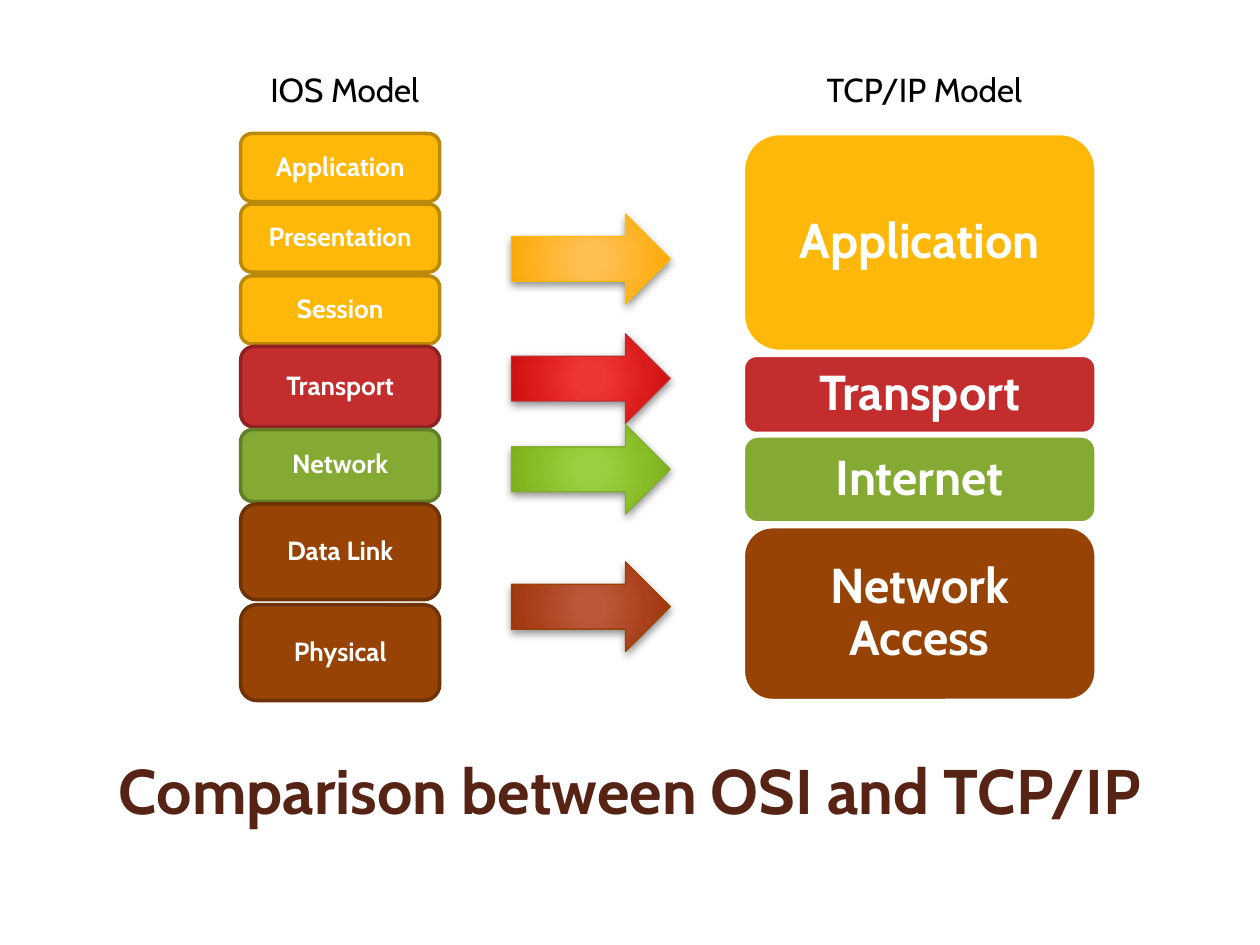
from dataclasses import dataclass

from lxml import etree
from pptx import Presentation
from pptx.dml.color import RGBColor
from pptx.enum.shapes import MSO_SHAPE
from pptx.enum.text import MSO_ANCHOR, PP_ALIGN
from pptx.oxml import parse_xml
from pptx.oxml.ns import nsdecls, qn
from pptx.util import Inches, Pt


@dataclass(frozen=True)
class Theme:
    font: str = "Cabin"
    white: str = "FFFFFF"
    black: str = "000000"
    title: str = "572314"
    amber: str = "FEB80A"
    red: str = "C32D2E"
    green: str = "84AA33"
    brown: str = "964305"
    title_size: int = 36
    heading_size: int = 19
    osi_size: int = 15
    tcp_size: int = 28


theme = Theme()
edges = {theme.amber: "BC8807", theme.red: "902122", theme.green: "627E26", theme.brown: "6F3204"}
glows = {
    theme.amber: ["FFBF54", "FFBF53", "FFB221", "F6A500", "D69900"],
    theme.red: ["EF3737", "EE3637", "DB1C1C", "C70C0D", "C30001"],
    theme.green: ["9AD041", "9ACF41", "88BD27", "79AB17", "77AC08"],
    theme.brown: ["BD583A", "BC573A", "AB411C", "9C3308", "7E3600"],
}


def write(s, text, size, color, bold=True, inset=0.1, spacing=1.0):
    tf = s.text_frame
    tf.word_wrap = True
    tf.vertical_anchor = MSO_ANCHOR.MIDDLE
    tf.margin_left = tf.margin_right = Inches(inset)
    tf.margin_top = tf.margin_bottom = Inches(0.05)
    p = tf.paragraphs[0]
    p.text = text
    p.alignment = PP_ALIGN.CENTER
    p.line_spacing = spacing
    p.font.name = theme.font
    p.font.size = Pt(size)
    p.font.bold = bold
    p.font.color.rgb = RGBColor.from_string(color)


def add_box(shapes, kind, box, fill, line, width):
    s = shapes.add_shape(kind, *[Inches(v) for v in box])
    s.shadow.inherit = False
    if fill:
        s.fill.solid()
        s.fill.fore_color.rgb = RGBColor.from_string(fill)
    s.line.color.rgb = RGBColor.from_string(line)
    s.line.width = Pt(width)
    return s


prs = Presentation()
prs.slide_width = Inches(10)
prs.slide_height = Inches(7.5)
slide = prs.slides.add_slide(prs.slide_layouts[6])
shapes = slide.shapes

title = shapes.add_textbox(Inches(0.5), Inches(5.64), Inches(9), Inches(1.25))
write(title, "Comparison between OSI and TCP/IP", theme.title_size, theme.title)

for left, text in [(0.5, "IOS Model"), (5.1, "TCP/IP Model")]:
    heading = add_box(shapes, MSO_SHAPE.RECTANGLE, (left, 0.36, 4.4, 0.7), theme.white, theme.white, 0.85)
    write(heading, text, theme.heading_size, theme.black, bold=False)
    heading.text_frame.margin_left = Inches(0.17)

osi_layers = [
    ("Application", 1.06, 0.54, theme.amber),
    ("Presentation", 1.62, 0.54, theme.amber),
    ("Session", 2.19, 0.54, theme.amber),
    ("Transport", 2.75, 0.64, theme.red),
    ("Network", 3.41, 0.57, theme.green),
    ("Data Link", 4.0, 0.76, theme.brown),
    ("Physical", 4.8, 0.76, theme.brown),
]
tcp_layers = [
    ("Application", 1.06, 1.73, theme.amber),
    ("Transport", 2.82, 0.62, theme.red),
    ("Internet", 3.46, 0.69, theme.green),
    ("Network Access", 4.18, 1.38, theme.brown),
]
stacks = [
    (osi_layers, 1.91, 1.58, theme.osi_size, 0.08, edges),
    (tcp_layers, 5.9, 2.8, theme.tcp_size, 0.18, {}),
]
for layers, left, width, size, inset, lines in stacks:
    group = shapes.add_group_shape()
    for text, top, height, color in layers:
        s = add_box(group.shapes, MSO_SHAPE.ROUNDED_RECTANGLE, (left, top, width, height),
                    color, lines.get(color, theme.white), 2)
        write(s, text, size, theme.white, inset=inset, spacing=0.9)

for top, color in [(1.7, theme.amber), (2.65, theme.red), (3.37, theme.green), (4.46, theme.brown)]:
    arrow = add_box(shapes, MSO_SHAPE.RIGHT_ARROW, (4.06, top, 1.26, 0.71), None, color, 0.75)
    stops = "".join(
        f'<a:gs pos="{pos * 1000}"><a:srgbClr val="{glow}"/></a:gs>'
        for pos, glow in zip([0, 15, 62, 97, 100], glows[color])
    )
    spPr = arrow.element.spPr
    spPr.find(qn("a:prstGeom")).addnext(parse_xml(
        f'<a:gradFill {nsdecls("a")} rotWithShape="1"><a:gsLst>{stops}</a:gsLst>'
        '<a:path path="circle"><a:fillToRect l="50000" t="50000" r="50000" b="50000"/></a:path></a:gradFill>'
    ))
    shadow = etree.SubElement(spPr.find(qn("a:effectLst")), qn("a:outerShdw"), blurRad=str(Pt(5)),
                              dist=str(Pt(2)), dir="5400000", algn="ctr", rotWithShape="0")
    shade = etree.SubElement(shadow, qn("a:srgbClr"), val=theme.black)
    etree.SubElement(shade, qn("a:alpha"), val="43000")

prs.save("out.pptx")
